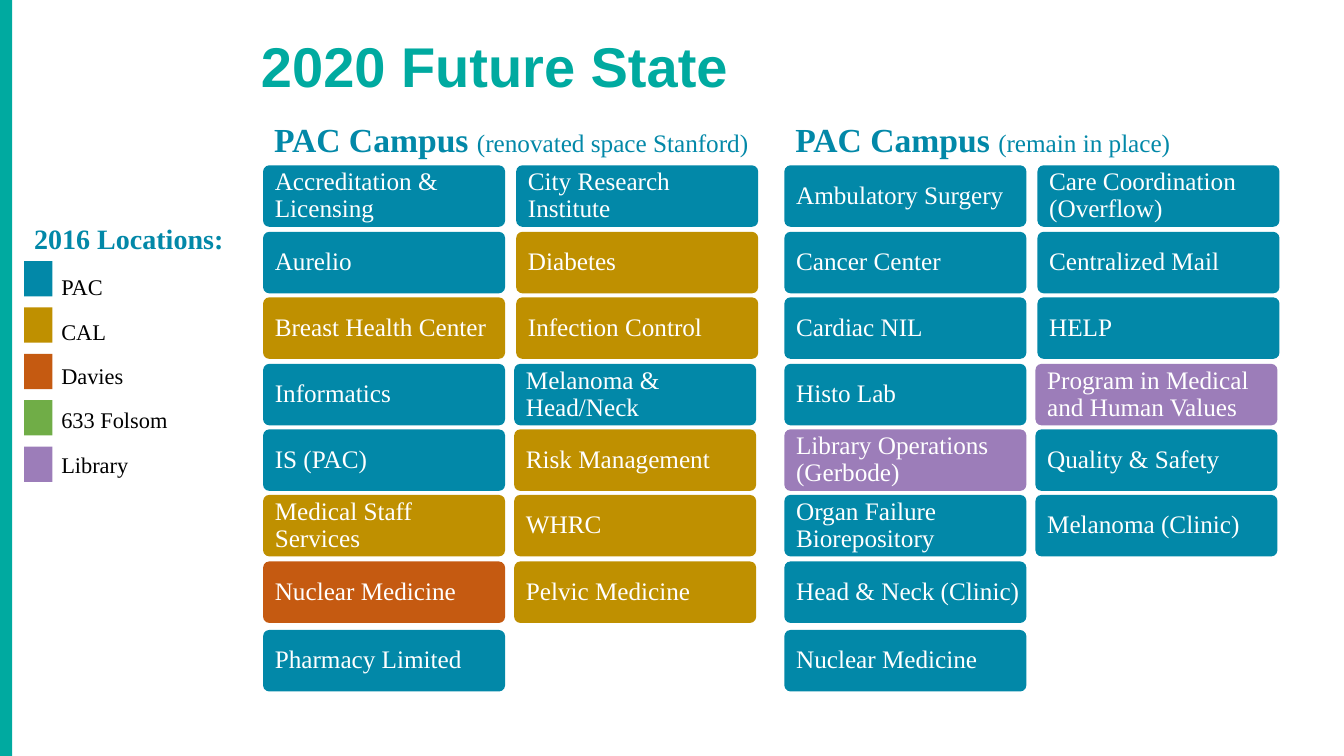
from pptx import Presentation
from pptx.dml.color import RGBColor
from pptx.enum.shapes import MSO_SHAPE
from pptx.enum.text import MSO_ANCHOR, PP_ALIGN
from pptx.util import Inches, Pt

RECT, ROUND = MSO_SHAPE.RECTANGLE, MSO_SHAPE.ROUNDED_RECTANGLE
TOP, MID, BOTTOM = MSO_ANCHOR.TOP, MSO_ANCHOR.MIDDLE, MSO_ANCHOR.BOTTOM
LEFT = PP_ALIGN.LEFT
SERIF, SANS = "Times New Roman", "Arial"
TEAL, WHITE, BLACK = "00AAA0", "FFFFFF", "000000"
BLUE, GOLD, RUST, GREEN, PLUM = "0288A8", "BF9000", "C55A11", "70AD47", "9C7DB9"


def color(text):
    return RGBColor.from_string(text)


class Board:
    def __init__(self, slide):
        self.shapes = slide.shapes

    def run(self, para, text, size, ink, bold=False, face=SERIF):
        run = para.add_run()
        run.text = text
        font = run.font
        font.name, font.size, font.bold = face, Pt(size), bold
        font.color.rgb = color(ink)

    def block(self, kind, x, y, w, h, fill):
        shape = self.shapes.add_shape(kind, Inches(x), Inches(y), Inches(w), Inches(h))
        shape.shadow.inherit = False
        shape.fill.solid()
        shape.fill.fore_color.rgb = color(fill)
        shape.line.fill.background()
        return shape

    def card(self, x, y, label, fill):
        shape = self.block(ROUND, x, y, 2.4, 0.61, fill)
        shape.adjustments[0] = 0.1
        frame = shape.text_frame
        frame.word_wrap = True
        frame.vertical_anchor = MID
        frame.margin_left, frame.margin_right = Inches(0.1), 0
        frame.margin_top = frame.margin_bottom = Inches(0.07)
        para = frame.paragraphs[0]
        para.alignment, para.line_spacing = LEFT, 0.9
        self.run(para, label, 18, WHITE)

    def text(self, x, y, w, h, lines, space=1.0, anchor=TOP):
        """Each line is a list of runs: (text, size, ink, bold, face)."""
        box = self.shapes.add_textbox(Inches(x), Inches(y), Inches(w), Inches(h))
        frame = box.text_frame
        frame.word_wrap = True
        frame.vertical_anchor = anchor
        for i, runs in enumerate(lines):
            para = frame.add_paragraph() if i else frame.paragraphs[0]
            para.line_spacing = space
            for item in runs:
                self.run(para, *item)


deck = Presentation()
deck.slide_width, deck.slide_height = Inches(13.33), Inches(7.5)
board = Board(deck.slides.add_slide(deck.slide_layouts[6]))

# Side band and title
board.block(RECT, 0, 0, 0.12, 7.5, TEAL)
board.text(2.49, 0.12, 9.35, 0.92,
           [[("2020 Future State", 40, TEAL, True, SANS)]], 0.9, BOTTOM)

# Campus headings
for x, w, note in [(2.62, 5, "(renovated space Stanford)"),
                   (7.79, 4.07, "(remain in place)")]:
    board.text(x, 1.13, w, 0.5,
               [[("PAC Campus ", 24, BLUE, True), (note, 18, BLUE)]])

# Department cards: left edge, shift from the fourth row down, cards
tops = [1.64, 2.3, 2.95, 3.61, 4.26, 4.91, 5.57, 6.25]
columns = [
    (2.61, 0, [("Accreditation & Licensing", BLUE), ("Aurelio", BLUE),
               ("Breast Health Center", GOLD), ("Informatics", BLUE),
               ("IS (PAC)", BLUE), ("Medical Staff Services", GOLD),
               ("Nuclear Medicine", RUST), ("Pharmacy Limited", BLUE)]),
    (5.12, 0.02, [("City Research Institute", BLUE), ("Diabetes", GOLD),
                  ("Infection Control", GOLD), ("Melanoma & Head/Neck", BLUE),
                  ("Risk Management", GOLD), ("WHRC", GOLD),
                  ("Pelvic Medicine", GOLD)]),
    (7.78, 0, [("Ambulatory Surgery", BLUE), ("Cancer Center", BLUE),
               ("Cardiac NIL", BLUE), ("Histo Lab", BLUE),
               ("Library Operations (Gerbode)", PLUM),
               ("Organ Failure Biorepository", BLUE),
               ("Head & Neck (Clinic)", BLUE), ("Nuclear Medicine", BLUE)]),
    (10.29, 0.02, [("Care Coordination (Overflow)", BLUE),
                   ("Centralized Mail", BLUE), ("HELP", BLUE),
                   ("Program in Medical and Human Values", PLUM),
                   ("Quality & Safety", BLUE), ("Melanoma (Clinic)", BLUE)]),
]
for x, shift, cards in columns:
    for i, (label, fill) in enumerate(cards):
        board.card(x - shift if i > 2 else x, tops[i], label, fill)

# Legend
sites = [("PAC", BLUE), ("CAL", GOLD), ("Davies", RUST),
         ("633 Folsom", GREEN), ("Library", PLUM)]
board.text(0.24, 2.15, 2.12, 0.44, [[("2016 Locations:", 20, BLUE, True)]])
for i, (site, fill) in enumerate(sites):
    board.block(RECT, 0.24, 2.59 + 0.46 * i, 0.28, 0.35, fill)
board.text(0.51, 2.49, 1.53, 2.32,
           [[(site, 16, BLACK)] for site, fill in sites], 1.65)

deck.save("out.pptx")
